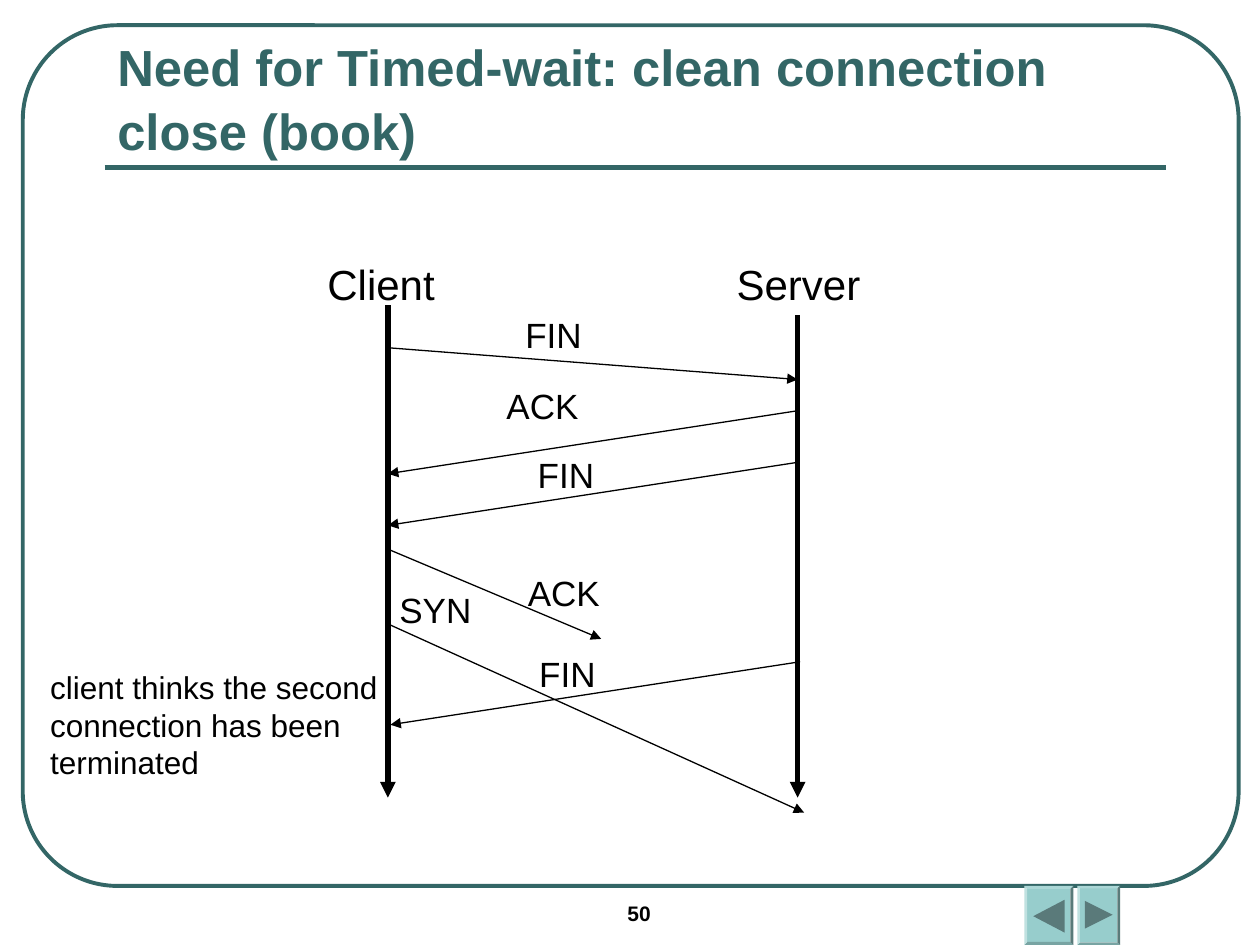
from lxml import etree
from pptx import Presentation
from pptx.dml.color import RGBColor
from pptx.enum import shapes, text
from pptx.oxml import ns
from pptx.util import Cm, Pt

TEAL, BLACK, BUTTON, ICON = "336666", "000000", "97CDCC", "5A7A7A"
CLIENT_X, SERVER_X, LIFELINE_END = 7.82, 16.08, 16.08

MESSAGES = [
    ("FIN", (10.34, 6.2), (CLIENT_X, 7.01), (SERVER_X, 7.65)),
    ("ACK", (9.96, 7.62), (SERVER_X, 8.28), (CLIENT_X, 9.55)),
    ("FIN", (10.59, 9.02), (SERVER_X, 9.32), (CLIENT_X, 10.59)),
    ("ACK", (10.39, 11.4), (CLIENT_X, 11.07), (12.12, 12.88)),
    ("SYN", (7.8, 11.73), (7.87, 12.6), (16.21, 16.38)),
    ("FIN", (10.62, 13.03), (16.13, 13.34), (7.87, 14.61)),
]
LABEL_WIDTHS = {"FIN": 1.65, "ACK": 1.96, "SYN": 1.96}


def color(value):
    return RGBColor.from_string(value)


def fill_shape(shape, value):
    shape.shadow.inherit = False
    shape.fill.solid()
    shape.fill.fore_color.rgb = color(value)
    shape.line.fill.background()


def format_paragraph(para, size, value=BLACK, bold=False):
    para.alignment = text.PP_ALIGN.LEFT
    para.font.name = "Arial"
    para.font.size = Pt(size)
    para.font.bold = bold
    para.font.color.rgb = color(value)


def add_text(page, words, left, top, width, height, size, bold=False, wrap=False):
    box = page.shapes.add_textbox(Cm(left), Cm(top), Cm(width), Cm(height))
    box.text_frame.word_wrap = wrap
    box.text_frame.text = words
    format_paragraph(box.text_frame.paragraphs[0], size, bold=bold)


def add_line(page, start, end, width, value=BLACK, arrow=True):
    line = page.shapes.add_connector(
        shapes.MSO_CONNECTOR.STRAIGHT, *(Cm(n) for n in start + end))
    line.line.width = Pt(width)
    line.line.color.rgb = color(value)
    if arrow:
        head = etree.SubElement(line.line._get_or_add_ln(), ns.qn("a:tailEnd"))
        head.set("type", "triangle")
    etree.SubElement(line._element.spPr, ns.qn("a:effectLst"))


def add_frame(page):
    frame = page.shapes.add_shape(
        shapes.MSO_SHAPE.ROUNDED_RECTANGLE, Cm(0.46), Cm(0.51), Cm(24.51), Cm(17.35))
    frame.adjustments[0] = 0.11
    frame.shadow.inherit = False
    frame.fill.background()
    frame.line.color.rgb = color(TEAL)
    frame.line.width = Pt(2.25)


def add_button(page, left, width, tip, base_x, half_height):
    button = page.shapes.add_shape(
        shapes.MSO_SHAPE.BEVEL, Cm(left), Cm(17.86), Cm(width), Cm(1.19))
    button.adjustments[0] = 0.06
    fill_shape(button, BUTTON)
    tip_x, tip_y = tip
    builder = page.shapes.build_freeform(Cm(tip_x), Cm(tip_y))
    builder.add_line_segments(
        [(Cm(base_x), Cm(tip_y - half_height)), (Cm(base_x), Cm(tip_y + half_height))])
    fill_shape(builder.convert_to_shape(), ICON)


def set_title(page, words):
    title = page.shapes.title
    title.left, title.top, title.width, title.height = Cm(2.11), Cm(1.47), Cm(21.39), Cm(1.9)
    frame = title.text_frame
    frame.text = words
    frame.word_wrap = True
    frame.auto_size = text.MSO_AUTO_SIZE.NONE
    frame.vertical_anchor = text.MSO_ANCHOR.BOTTOM
    para = frame.paragraphs[0]
    para.line_spacing = 1.05
    format_paragraph(para, 29, TEAL, True)


def add_lifeline(page, name, left, width, x, top):
    add_line(page, (x, top), (x, LIFELINE_END), 3)
    add_text(page, name, left, 5.08, width, 1.27, 24)


def add_message(page, label, place, start, end):
    add_line(page, start, end, 0.75)
    add_text(page, label, *place, LABEL_WIDTHS[label], 1.12, 20)


def main():
    deck = Presentation()
    deck.slide_width, deck.slide_height = Cm(25.4), Cm(19.05)
    page = deck.slides.add_slide(deck.slide_layouts[5])
    add_frame(page)
    add_line(page, (2.11, 3.38), (23.5, 3.38), 3, TEAL, arrow=False)
    add_button(page, 20.65, 0.99, (20.83, 18.47), 21.46, 0.33)
    add_button(page, 21.72, 0.86, (22.43, 18.44), 21.87, 0.28)
    add_text(page, "50", 12.4, 18.03, 2.97, 0.84, 12, bold=True, wrap=True)
    set_title(page, "Need for Timed-wait: clean connection close (book)")
    add_lifeline(page, "Client", 6.35, 2.67, CLIENT_X, 6.15)
    add_lifeline(page, "Server", 14.6, 3, SERVER_X, 6.35)
    for message in MESSAGES:
        add_message(page, *message)
    add_text(page, "client thinks the second connection has been terminated",
             0.76, 13.34, 7.54, 2.54, 18, wrap=True)
    deck.save("out.pptx")


if __name__ == "__main__":
    main()
